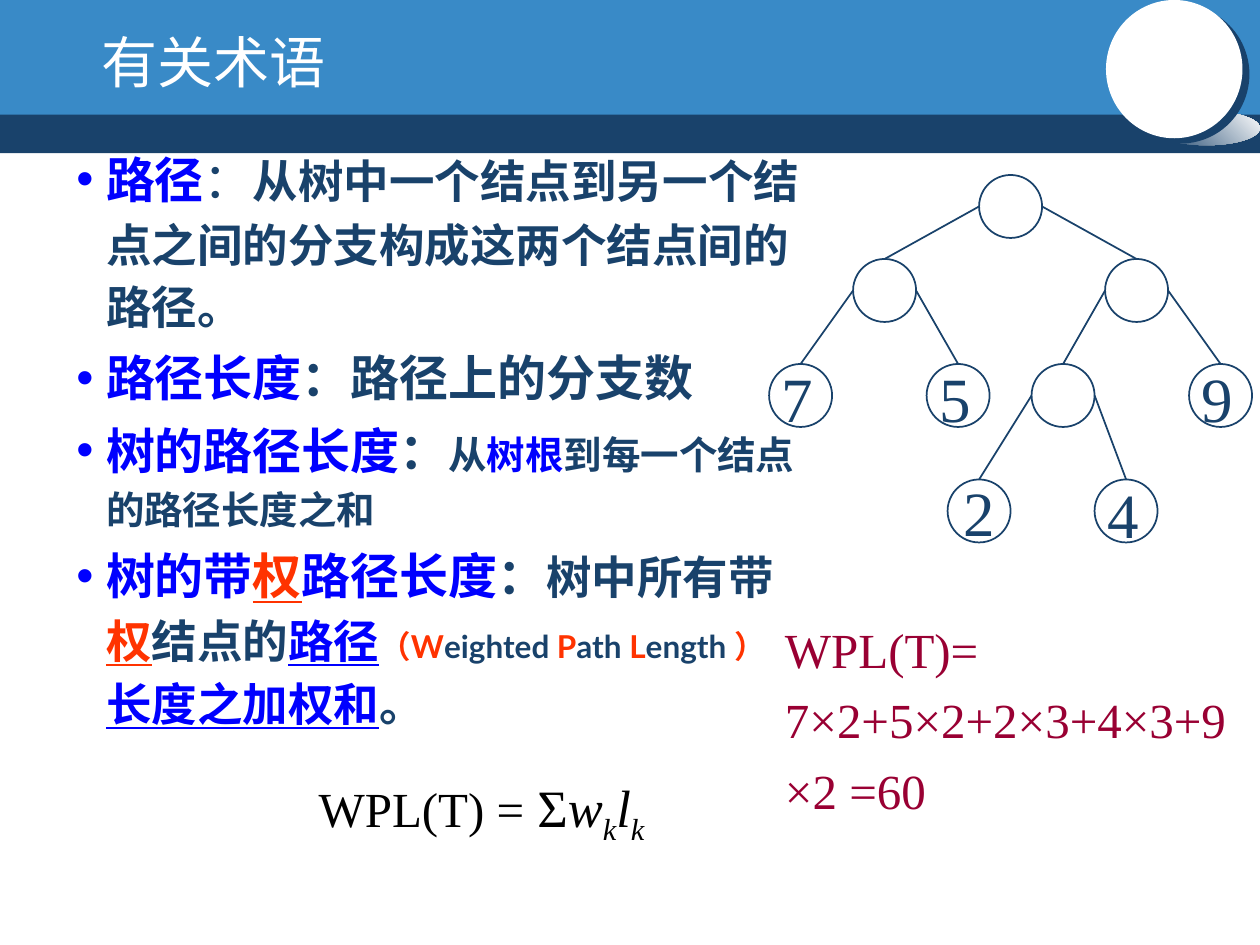
"""Build a slide on tree path terms with a weighted tree."""
from dataclasses import dataclass
from typing import Optional

from lxml.etree import SubElement
from pptx import Presentation
from pptx.dml.color import RGBColor
from pptx.enum.shapes import MSO_CONNECTOR, MSO_SHAPE
from pptx.enum.text import MSO_ANCHOR, MSO_AUTO_SIZE, PP_ALIGN
from pptx.oxml.ns import qn
from pptx.util import Pt

NAVY = RGBColor(0x19, 0x42, 0x6B)
SKY = RGBColor(0x39, 0x8A, 0xC7)
WHITE = RGBColor(0xFF, 0xFF, 0xFF)
BLACK = RGBColor(0x00, 0x00, 0x00)
BLUE = RGBColor(0x00, 0x00, 0xFF)
RED = RGBColor(0xFF, 0x33, 0x00)
WINE = RGBColor(0x99, 0x00, 0x33)
SANS = "Lato"
SERIF = "Times New Roman"
SIZE = 36


@dataclass(frozen=True)
class Part:
    text: str
    size: float
    color: RGBColor = NAVY
    bold: bool = True
    under: bool = False


@dataclass(frozen=True)
class Node:
    x: float
    y: float
    label: str = ""
    root: Optional["Node"] = None


TOP = Node(559.5, 100)
LEFT = Node(487.5, 148, root=TOP)
RIGHT = Node(631.5, 148, root=TOP)
INNER = Node(589.5, 208, root=RIGHT)
NODES = [
    TOP, LEFT, RIGHT, INNER,
    Node(439.5, 208, "7", LEFT),
    Node(529.5, 208, "5", LEFT),
    Node(679.5, 208, "9", RIGHT),
    Node(541.5, 274, "2", INNER),
    Node(625.5, 274, "4", INNER),
]

TERMS = [
    [Part("路径", 28, BLUE), Part("：", 28, bold=False),
     Part("从树中一个结点到另一个结点之间的分支构成这两个结点间的路径。", 26)],
    [Part("路径长度", 28, BLUE), Part("：路径上的分支数", 28)],
    [Part("树的路径长度", 28, BLUE), Part("：", 28), Part("从", 22),
     Part("树根", 22, BLUE), Part("到每一个结点的路径长度之和", 22)],
    [Part("树的带", 28, BLUE), Part("权", 28, RED, under=True),
     Part("路径长度", 28, BLUE), Part("：", 28), Part("树中所有带", 26),
     Part("权", 26, RED, under=True), Part("结点的", 26),
     Part("路径", 26, BLUE, under=True),
     Part("（W", 18, RED), Part("eighted", 18), Part(" P", 18, RED),
     Part("ath", 18), Part(" L", 18, RED), Part("ength ", 18),
     Part("）", 18, RED), Part(" ", 26),
     Part("长度之加权和", 26, BLUE, under=True), Part("。", 26)],
]


def write(para, text: str, *, size: float, color: RGBColor = NAVY,
          face: str = SERIF, bold: bool = False, slant: bool = False,
          under: bool = False, base: int = 0) -> None:
    run = para.add_run()
    run.text = text
    font = run.font
    font.name, font.size = face, Pt(size)
    font.bold, font.italic, font.underline = bold, slant, under
    font.color.rgb = color
    if base:
        font._element.set("baseline", str(base * 1000))


def add_box(slide, x: float, y: float, w: float, h: float, wrap: bool = True):
    frame = slide.shapes.add_textbox(Pt(x), Pt(y), Pt(w), Pt(h)).text_frame
    frame.word_wrap = wrap
    return frame


def add_form(slide, kind, x: float, y: float, w: float, h: float,
             fill: Optional[RGBColor] = None):
    form = slide.shapes.add_shape(kind, Pt(x), Pt(y), Pt(w), Pt(h))
    form.shadow.inherit = False
    form.line.fill.background()
    if fill is None:
        form.fill.background()
    else:
        form.fill.solid()
        form.fill.fore_color.rgb = fill
    return form


def indent(para, left: float, first: float = 0, mark: str = "") -> None:
    props = para._p.get_or_add_pPr()
    props.set("marL", str(Pt(left)))
    props.set("indent", str(Pt(first)))
    if mark:
        SubElement(props, qn("a:buFont")).set("typeface", "Arial")
        SubElement(props, qn("a:buChar")).set("char", mark)


def draw_band(slide) -> None:
    add_form(slide, MSO_SHAPE.RECTANGLE, 0, 62.5, 720, 25, NAVY)
    add_form(slide, MSO_SHAPE.RECTANGLE, 0, 0, 720, 65.5, SKY)
    shade = add_form(slide, MSO_SHAPE.OVAL, 659, 63.5, 61, 19.5)
    shade.fill.gradient()
    shade.fill.gradient_angle = 45
    for stop, color in zip(shade.fill.gradient_stops, (NAVY, WHITE)):
        stop.color.rgb = color
    disc = add_form(slide, MSO_SHAPE.OVAL, 632, 0, 78, 79, WHITE)
    glow = disc._element.spPr.find(qn("a:effectLst"))
    cast = SubElement(glow, qn("a:outerShdw"), dist=str(Pt(5)),
                      dir=str(37 * 60000), algn="ctr", rotWithShape="0")
    SubElement(cast, qn("a:srgbClr"), val=str(NAVY))


def draw_title(slide) -> None:
    title = slide.shapes.title
    title.element.getparent().append(title.element)
    title.left, title.top = Pt(36.5), Pt(19.5)
    title.width, title.height = Pt(157), Pt(38)
    frame = title.text_frame
    frame.word_wrap = False
    frame.auto_size = MSO_AUTO_SIZE.NONE
    frame.vertical_anchor = MSO_ANCHOR.TOP
    para = frame.paragraphs[0]
    para.alignment = PP_ALIGN.LEFT
    para.line_spacing = 0.8
    indent(para, 14.4)
    write(para, "有关术语", size=32, color=WHITE, face=SANS)


def draw_terms(slide) -> None:
    frame = add_box(slide, 36.5, 77, 430.5, 346)
    for i, parts in enumerate(TERMS):
        para = frame.add_paragraph() if i else frame.paragraphs[0]
        para.line_spacing = 1.15
        para.space_before = Pt(2.8)
        indent(para, 17, -17, "•")
        for part in parts:
            write(para, part.text, size=part.size, color=part.color,
                  face=SANS, bold=part.bold, under=part.under)


def draw_sums(slide) -> None:
    para = add_box(slide, 31, 440, 360, 39.5).paragraphs[0]
    para.line_spacing = 0.9
    indent(para, 144)
    write(para, "WPL(T) =", size=28, color=BLACK)
    write(para, " Σ", size=30, color=BLACK)
    for name in "wl":
        write(para, name, size=30, color=BLACK, slant=True)
        write(para, "k", size=30, color=BLACK, slant=True, base=-25)
    para = add_box(slide, 441.5, 343.5, 274.5, 128).paragraphs[0]
    para.line_spacing = 1.2
    write(para, "WPL(T)= 7×2+5×2+2×3+4×3+9×2 =60", size=28, color=WINE)


def draw_node(slide, node: Node) -> None:
    ring = add_form(slide, MSO_SHAPE.OVAL, node.x, node.y, SIZE, SIZE)
    ring.line.color.rgb = NAVY
    ring.line.width = Pt(1)
    if node.label == "2":
        frame = ring.text_frame
        frame.word_wrap = False
        frame.vertical_anchor = MSO_ANCHOR.MIDDLE
        frame.paragraphs[0].alignment = PP_ALIGN.CENTER
    elif node.label:
        frame = add_box(slide, node.x, node.y - 6, 32.5, 50.5, False)
    if node.label:
        write(frame.paragraphs[0], node.label, size=36)


def draw_edge(slide, node: Node) -> None:
    root = node.root
    side = root.x + (SIZE if node.x > root.x else 0)
    edge = slide.shapes.add_connector(
        MSO_CONNECTOR.STRAIGHT, Pt(side), Pt(root.y + SIZE / 2),
        Pt(node.x + SIZE / 2), Pt(node.y))
    edge.line.color.rgb = NAVY
    edge.line.width = Pt(1)
    SubElement(edge._element.spPr, qn("a:effectLst"))


def main() -> None:
    deck = Presentation()
    deck.slide_width, deck.slide_height = Pt(720), Pt(540)
    slide = deck.slides.add_slide(deck.slide_layouts[5])
    draw_band(slide)
    draw_title(slide)
    draw_terms(slide)
    draw_sums(slide)
    for node in NODES:
        draw_node(slide, node)
        if node.root:
            draw_edge(slide, node)
    deck.save("out.pptx")


if __name__ == "__main__":
    main()
